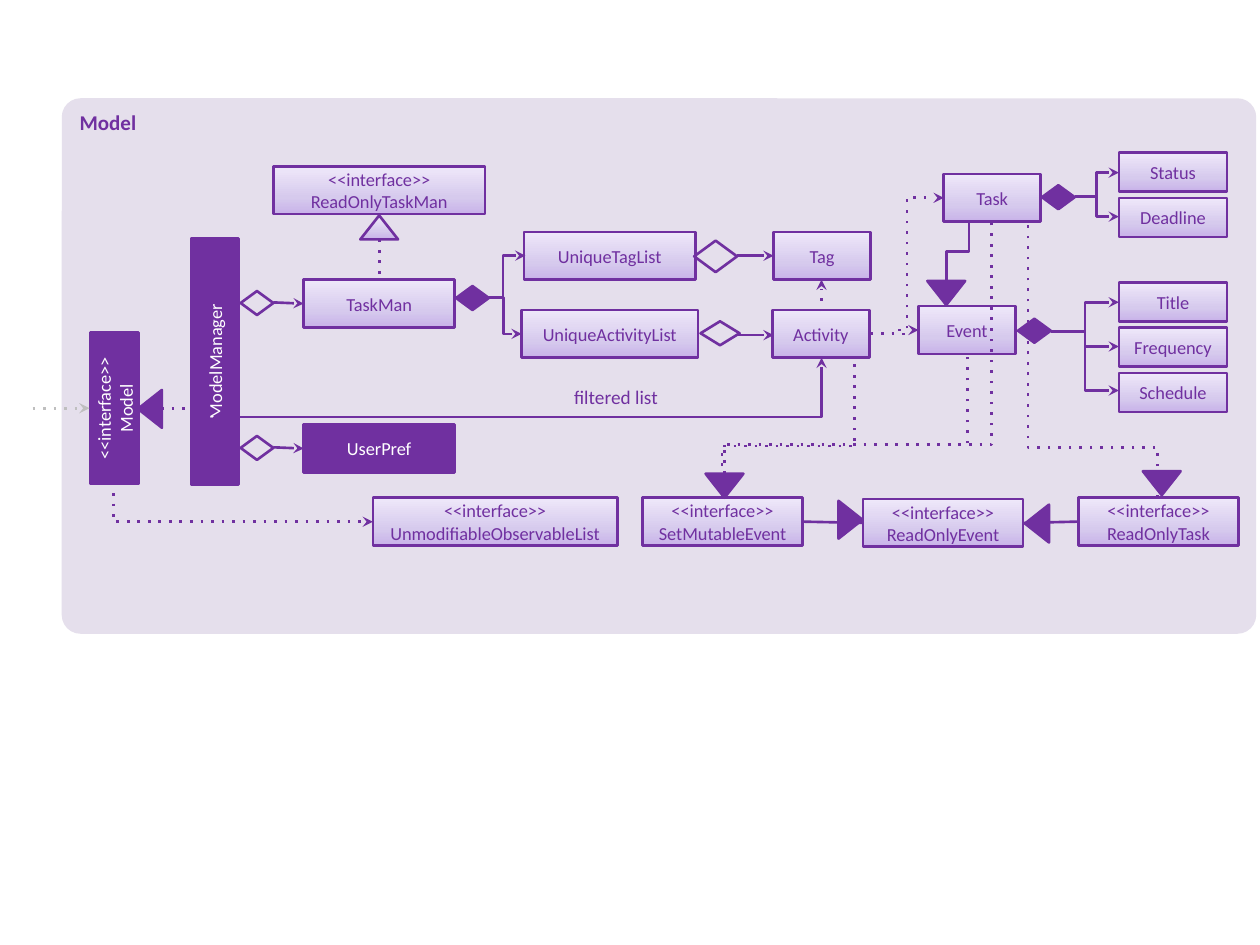
from copy import deepcopy

from lxml.etree import SubElement
from pptx import Presentation
from pptx.dml.color import RGBColor
from pptx.enum.shapes import MSO_CONNECTOR as Link, MSO_SHAPE as Form
from pptx.enum.text import MSO_ANCHOR as Anchor, PP_ALIGN as Align
from pptx.oxml.ns import qn
from pptx.util import Inches, Pt

PURPLE = RGBColor(0x70, 0x30, 0xA0)
LAVENDER = RGBColor(0xE5, 0xDF, 0xEC)
GREY = RGBColor(0xBF, 0xBF, 0xBF)
WHITE = RGBColor(0xFF, 0xFF, 0xFF)
SHADES = [(0, RGBColor(0xC8, 0xB2, 0xE9)), (0.35, RGBColor(0xD6, 0xCA, 0xED)),
          (1, RGBColor(0xEF, 0xE8, 0xFA))]
BOX_HEIGHT = 0.38
INTERFACE = "<<interface>>\v"


class ClassDiagram:
    """Holds the style and the page of a class diagram."""

    font = "Calibri"
    line_width = Pt(1.5)

    def __init__(self, page):
        """Start drawing on a page."""
        self.page = page

    def set_text(self, frame, text, color, size=10.5, align=Align.CENTER, bold=False):
        """Fill a text frame and format its runs."""
        frame.word_wrap = True
        frame.text = text
        for para in frame.paragraphs:
            para.alignment = align
            for span in para.runs:
                span.font.name, span.font.size = self.font, Pt(size)
                span.font.color.rgb, span.font.bold = color, bold

    def shade(self, shape):
        """Give a shape the three-stop lavender gradient, dark at the bottom."""
        shape.fill.gradient()
        shape.fill.gradient_angle = 90
        stop_list = shape._element.spPr.find(".//" + qn("a:gsLst"))
        stop_list.insert(1, deepcopy(stop_list[0]))
        for stop, (position, color) in zip(shape.fill.gradient_stops, SHADES):
            stop.position, stop.color.rgb = position, color

    def shape(self, form, left, top, width, height, fill="shade", turn=0):
        """Add an outlined shape: shaded, plain coloured or hollow."""
        shape = self.page.shapes.add_shape(
            form, Inches(left), Inches(top), Inches(width), Inches(height))
        shape.shadow.inherit = False
        shape.rotation = turn
        if fill == "shade":
            self.shade(shape)
        elif fill is None:
            shape.fill.background()
        else:
            shape.fill.solid()
            shape.fill.fore_color.rgb = fill
        shape.line.color.rgb, shape.line.width = PURPLE, self.line_width
        return shape

    def panel(self, text, left, top, width, height):
        """Add the rounded background with its heading."""
        panel = self.shape(Form.ROUNDED_RECTANGLE, left, top, width, height, LAVENDER)
        panel.adjustments[0] = 0.035
        panel.line.fill.background()
        panel.text_frame.vertical_anchor = Anchor.TOP
        self.set_text(panel.text_frame, text, PURPLE, 12, Align.LEFT, True)

    def box(self, text, left, top, width, height=BOX_HEIGHT, dark=False, turn=0):
        """Add a class box, light or dark."""
        box = self.shape(Form.RECTANGLE, left, top, width, height,
                         PURPLE if dark else "shade", turn)
        box.text_frame.vertical_anchor = Anchor.MIDDLE
        self.set_text(box.text_frame, text, WHITE if dark else PURPLE)

    def label(self, text, left, top, width, height):
        """Add a free label."""
        label = self.page.shapes.add_textbox(
            Inches(left), Inches(top), Inches(width), Inches(height))
        self.set_text(label.text_frame, text, PURPLE, 11, Align.RIGHT)

    def diamond(self, left, top, width=0.26, height=0.19, fill=None):
        """Add an aggregation (hollow) or composition (filled) mark."""
        self.shape(Form.FLOWCHART_DECISION, left, top, width, height, fill)

    def triangle(self, left, top, turn=0, fill=PURPLE):
        """Add an inheritance mark."""
        self.shape(Form.ISOSCELES_TRIANGLE, left, top, 0.3, 0.19, fill, turn)

    def link(self, start, end, kind=Link.STRAIGHT, arrow=True, dotted=False, color=PURPLE):
        """Add a connector between two points."""
        link = self.page.shapes.add_connector(kind, *map(Inches, start + end))
        link.line.color.rgb, link.line.width = color, self.line_width
        properties = link._element.spPr
        SubElement(properties, qn("a:effectLst"))
        line = properties.find(qn("a:ln"))
        if dotted:
            SubElement(line, qn("a:prstDash"), val="dot")
        if arrow:
            SubElement(line, qn("a:tailEnd"), type="stealth")
        return link

    def elbow(self, start, end, bend=0.5, **style):
        """Add a bent connector that leaves sideways; no bend means one corner."""
        link = self.link(start, end, Link.ELBOW, **style)
        geometry = link._element.spPr.find(qn("a:prstGeom"))
        if bend is None:
            geometry.set("prst", "bentConnector2")
        else:
            SubElement(geometry.find(qn("a:avLst")), qn("a:gd"),
                       name="adj1", fmla=f"val {round(bend * 100000)}")
        return link

    def riser(self, start, end, bend=0.5, **style):
        """Add a bent connector that leaves up or down: a quarter-turned elbow."""
        link = self.elbow(start, end, bend, **style)
        across, down = end[0] - start[0], end[1] - start[1]
        width, height = abs(down), abs(across)
        link.left = Inches((start[0] + end[0] - width) / 2)
        link.top = Inches((start[1] + end[1] - height) / 2)
        link.width, link.height = Inches(width), Inches(height)
        frame = link._element.spPr.find(qn("a:xfrm"))
        frame.set("rot", str(90 * 60000))
        frame.set("flipH", str(int(down < 0)))
        frame.set("flipV", str(int(across > 0)))


def draw_boxes(diagram):
    """Draw the panel, the classes and the interfaces."""
    diagram.panel("Model", 0.49, 0.78, 9.48, 4.25)
    diagram.box("UserPref", 2.41, 3.37, 1.2, dark=True)
    diagram.box("ModelManager", 0.73, 2.68, 1.95, dark=True, turn=270)
    diagram.box("<<interface>>\nModel", 0.31, 3.05, 1.2, dark=True, turn=270)
    for text, left, top, width in [
            ("TaskMan", 2.41, 2.22, 1.2), ("UniqueActivityList", 4.14, 2.46, 1.4),
            ("UniqueTagList", 4.16, 1.84, 1.36), ("Activity", 6.13, 2.46, 0.77),
            ("Tag", 6.14, 1.84, 0.77), ("Task", 7.49, 1.38, 0.77),
            ("Event", 7.29, 2.43, 0.77),
            (INTERFACE + "ReadOnlyTaskMan", 2.17, 1.32, 1.68),
            (INTERFACE + "UnmodifiableObservableList", 2.96, 3.95, 1.94),
            (INTERFACE + "SetMutableEvent", 5.1, 3.95, 1.27),
            (INTERFACE + "ReadOnlyEvent", 6.85, 3.96, 1.27),
            (INTERFACE + "ReadOnlyTask", 8.56, 3.95, 1.27)]:
        diagram.box(text, left, top, width)
    for first_top, names in [(1.21, ["Status", "Deadline"]),
                             (2.24, ["Title", "Frequency", "Schedule"])]:
        for row, name in enumerate(names):
            diagram.box(name, 8.88, first_top + row * 0.36, 0.86, 0.31)
    diagram.label("filtered list", 4.36, 3.01, 0.96, 0.29)


def draw_links(diagram):
    """Draw the connectors between the classes."""
    for start, end in [((2.17, 3.55), (2.41, 3.56)), ((2.17, 2.4), (2.41, 2.41)),
                       ((5.85, 2.66), (6.14, 2.66)), ((5.85, 2.03), (6.14, 2.03))]:
        diagram.link(start, end)
    diagram.link((6.52, 2.47), (6.52, 2.22), dotted=True)
    diagram.link((0.26, 3.24), (0.71, 3.24), dotted=True, color=GREY)
    for start, end in [((1.28, 3.24), (1.52, 3.24)), ((3.01, 1.9), (3.01, 2.22))]:
        diagram.link(start, end, arrow=False, dotted=True)
    for start, end in [((6.36, 4.14), (6.85, 4.15)), ((8.12, 4.15), (8.56, 4.14))]:
        diagram.link(start, end, arrow=False)

    diagram.elbow((3.85, 2.36), (4.14, 2.65))
    diagram.elbow((3.86, 2.36), (4.17, 2.03), 0.43)
    for start, ends in [((8.34, 2.63), (2.4, 2.75, 3.1)), ((8.53, 1.56), (1.37, 1.72))]:
        for end in ends:
            diagram.elbow(start, (8.88, end))
    for end in [(7.49, 1.57), (7.29, 2.62)]:
        diagram.elbow((6.91, 2.65), end, dotted=True)

    diagram.riser((1.7, 3.84), (6.52, 2.84), 0.53)
    diagram.riser((0.9, 3.83), (2.96, 4.14), None, dotted=True)
    diagram.riser((7.69, 1.76), (7.51, 2.23), arrow=False)
    for start, end, level in [
            ((5.73, 3.95), (6.78, 2.84), 3.54), ((5.75, 3.76), (7.87, 1.76), 3.53),
            ((5.75, 3.76), (7.68, 2.81), 3.53), ((9.19, 3.95), (8.16, 1.77), 3.55)]:
        bend = (level - start[1]) / (end[1] - start[1])
        diagram.riser(start, end, bend, arrow=False, dotted=True)


def draw_marks(diagram):
    """Draw the diamonds and triangles at the connector ends."""
    for left, top in [(1.91, 3.46), (1.91, 2.31)]:
        diagram.diamond(left, top)
    diagram.diamond(5.56, 2.55, 0.31)
    diagram.diamond(5.51, 1.91, 0.34, 0.25)
    for left, top in [(3.62, 2.27), (8.08, 2.53), (8.27, 1.47)]:
        diagram.diamond(left, top, fill=PURPLE)
    diagram.triangle(2.86, 1.71, fill="shade")
    for left, top, turn in [(1.04, 3.15, 270), (5.6, 3.76, 180), (7.36, 2.23, 180),
                            (6.6, 4.03, 90), (8.08, 4.06, 270), (9.07, 3.74, 180)]:
        diagram.triangle(left, top, turn)


def main():
    """Build the deck and save it."""
    deck = Presentation()
    deck.slide_width, deck.slide_height = Inches(10), Inches(7.5)
    diagram = ClassDiagram(deck.slides.add_slide(deck.slide_layouts[6]))
    draw_boxes(diagram)
    draw_links(diagram)
    draw_marks(diagram)
    deck.save("out.pptx")


main()
